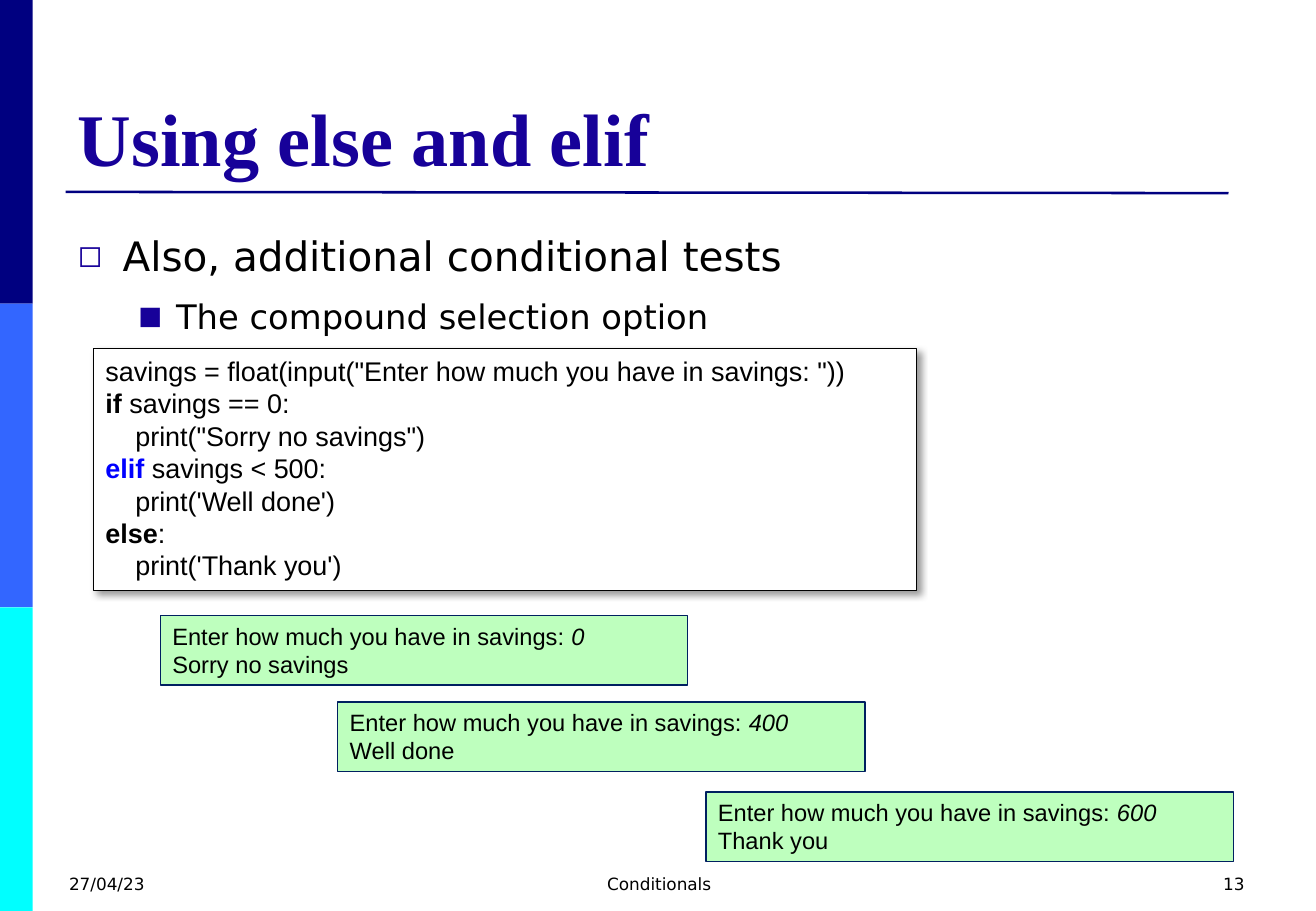
from lxml import etree
from pptx import Presentation
from pptx.dml.color import RGBColor
from pptx.enum.shapes import MSO_CONNECTOR, MSO_SHAPE
from pptx.enum.text import MSO_ANCHOR, MSO_AUTO_SIZE, PP_ALIGN
from pptx.oxml.ns import qn
from pptx.util import Pt

RECT = MSO_SHAPE.RECTANGLE
LEFT, MID, RIGHT = PP_ALIGN.LEFT, PP_ALIGN.CENTER, PP_ALIGN.RIGHT
PX = 9144  # EMU in one px, 100 px to the inch
WIDE, HIGH = 1083, 750

COLOR = {
    "navy": "000080", "blue": "3366FF", "cyan": "00FFFF", "title": "170199",
    "black": "000000", "white": "FFFFFF", "key": "0000FF",
    "mint": "BEFFBE", "edge": "002060",
}
SANS, SERIF, CODE = "DejaVu Sans", "Times New Roman", "Arial"

# A line is a list of runs: (text, format)
TITLE = "Using else and elif"
BARS = ["navy", "blue", "cyan"]
POINTS = [  # text, size, level, left margin, hang, line spacing, space before
    ("Also, additional conditional tests", 24, 0, 37, 37, 1.25, 0),
    ("The compound selection option", 20, 1, 81, 31, 1.15, 6),
]
BULLETS = ["◻", "■"]
BOLD, KEY, ITALIC = {"bold": True}, {"bold": True, "color": "key"}, {"italic": True}
SCRIPT = [
    [('savings = float(input("Enter how much you have in savings: "))', {})],
    [("if", BOLD), (" savings == 0:", {})],
    [('    print("Sorry no savings")', {})],
    [("elif", KEY), (" savings < 500:", {})],
    [("    print('Well done')", {})],
    [("else", BOLD), (":", {})],
    [("    print('Thank you')", {})],
]
PROMPT = "Enter how much you have in savings: "
RUNS = [  # left, top, input, reply
    (132, 507, "0", "Sorry no savings"),
    (278, 578, "400", "Well done"),
    (581, 652, "600", "Thank you"),
]
FOOT = [  # left, width, text, alignment
    (47, 253, "27/04/23", LEFT),
    (371, 343, "Conditionals", MID),
    (781, 253, "13", RIGHT),
]


def paint(name):
    return RGBColor.from_string(COLOR[name])


def place(*box):
    return [n * PX for n in box]


def write(par, text, size, font, color="black", bold=False, italic=False):
    run = par.add_run()
    run.text = text
    face = run.font
    face.size, face.name = Pt(size), font
    face.bold, face.italic = bold, italic
    face.color.rgb = paint(color)


def lines(frame):
    """Yield the paragraphs of a frame, the first one being there already."""
    yield frame.paragraphs[0]
    while True:
        yield frame.add_paragraph()


def block(slide, box, fill, edge=None):
    shape = slide.shapes.add_shape(RECT, *place(*box))
    shape.shadow.inherit = False
    shape.fill.solid()
    shape.fill.fore_color.rgb = paint(fill)
    if edge:
        shape.line.color.rgb = paint(edge)
        shape.line.width = Pt(0.75)
    else:
        shape.line.fill.background()
    return shape


def listing(slide, box, fill, edge, rows, size):
    """Add a framed box of left-aligned lines made of formatted runs."""
    shape = block(slide, box, fill, edge)
    frame = shape.text_frame
    frame.word_wrap = True
    frame.auto_size = MSO_AUTO_SIZE.SHAPE_TO_FIT_TEXT
    frame.vertical_anchor = MSO_ANCHOR.TOP
    for row, par in zip(rows, lines(frame)):
        par.alignment = LEFT
        for text, style in row:
            write(par, text, size, CODE, **style)
    return shape


def textbox(slide, box):
    frame = slide.shapes.add_textbox(*place(*box)).text_frame
    frame.word_wrap = True
    return frame


def bullet(par, char, margin, hang):
    props = par._p.get_or_add_pPr()
    props.set("marL", str(margin * PX))
    props.set("indent", str(-hang * PX))
    tint = etree.SubElement(props, qn("a:buClr"))
    etree.SubElement(tint, qn("a:srgbClr"), val=COLOR["title"])
    etree.SubElement(props, qn("a:buSzPct"), val="75000")
    etree.SubElement(props, qn("a:buFont"), typeface=SANS)
    etree.SubElement(props, qn("a:buChar"), char=char)


def shade(shape):
    """Give a shape a soft shadow to the lower right."""
    effects = shape._element.spPr.find(qn("a:effectLst"))
    drop = etree.SubElement(effects, qn("a:outerShdw"), blurRad=str(Pt(4)),
                            dist=str(Pt(3)), dir="2700000", algn="tl", rotWithShape="0")
    tint = etree.SubElement(drop, qn("a:srgbClr"), val=COLOR["black"])
    etree.SubElement(tint, qn("a:alpha"), val="40000")


def main():
    deck = Presentation()
    deck.slide_width, deck.slide_height = place(WIDE, HIGH)
    slide = deck.slides.add_slide(deck.slide_layouts[5])

    step = HIGH // len(BARS)
    for i, fill in enumerate(BARS):
        block(slide, (0, i * step, 27, step), fill)

    rule = slide.shapes.add_connector(MSO_CONNECTOR.STRAIGHT, *place(54, 158, 1011, 159))
    rule.line.color.rgb = paint("navy")
    rule.line.width = Pt(1.5)
    etree.SubElement(rule._element.spPr, qn("a:effectLst"))

    title = slide.shapes.title
    title.left, title.top, title.width, title.height = place(54, 30, 975, 124)
    frame = title.text_frame
    frame.vertical_anchor = MSO_ANCHOR.BOTTOM
    frame.auto_size = MSO_AUTO_SIZE.NONE
    frame.paragraphs[0].alignment = LEFT
    write(frame.paragraphs[0], TITLE, 44, SERIF, color="title", bold=True)

    frame = textbox(slide, (54, 175, 975, 495))
    for point, par in zip(POINTS, lines(frame)):
        text, size, level, margin, hang, pitch, gap = point
        bullet(par, BULLETS[level], margin, hang)
        par.level, par.line_spacing, par.space_before = level, pitch, Pt(gap)
        write(par, text, size, SANS)

    for left, width, text, align in FOOT:
        par = textbox(slide, (left, 714, width, 36)).paragraphs[0]
        par.alignment = align
        write(par, text, 10, SANS)

    shade(listing(slide, (77, 287, 677, 199), "white", "black", SCRIPT, 16))
    for left, top, given, reply in RUNS:
        rows = [[(PROMPT, {}), (given, ITALIC)], [(reply, {})]]
        listing(slide, (left, top, 434, 57), "mint", "edge", rows, 14)

    deck.save("out.pptx")


if __name__ == "__main__":
    main()
